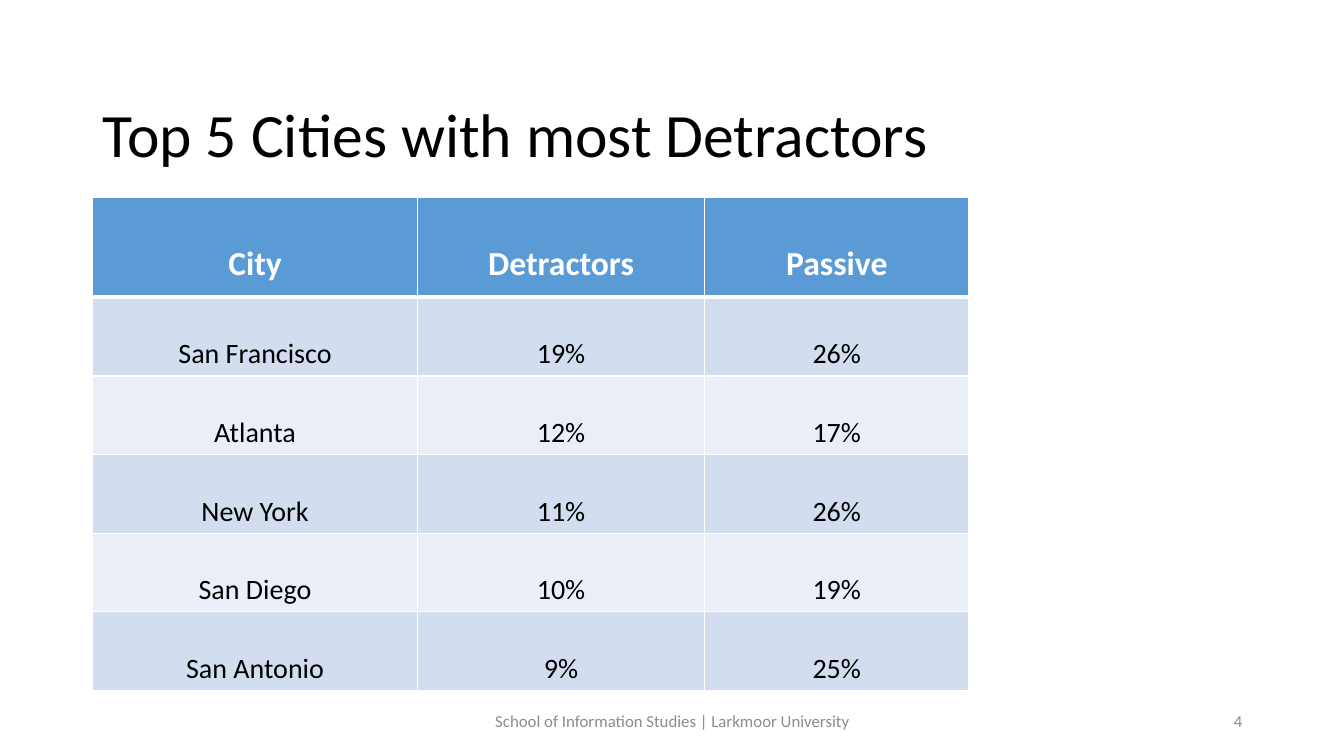
"""Build a slide with a table of the five cities that have the most detractors."""
import dataclasses
from typing import Any

import lxml.etree
import pptx
import pptx.dml.color
import pptx.enum.text
import pptx.oxml.ns
import pptx.util

Inches = pptx.util.Inches
RGBColor = pptx.dml.color.RGBColor
Align = pptx.enum.text.PP_ALIGN
Anchor = pptx.enum.text.MSO_ANCHOR

BLACK = RGBColor(0x00, 0x00, 0x00)
WHITE = RGBColor(0xFF, 0xFF, 0xFF)
GRAY = RGBColor(0x8C, 0x8C, 0x8C)
HEADER_BLUE = RGBColor(0x5B, 0x9B, 0xD5)
BAND_DARK = RGBColor(0xD2, 0xDE, 0xEF)
BAND_LIGHT = RGBColor(0xEA, 0xEF, 0xF7)

FONT = "Calibri"
COLUMN_WIDTHS = (3.22, 2.85, 2.62)
HEADER_HEIGHT = 0.99
BODY_HEIGHT = 0.78
THIN, THICK = 1, 3
CITY_ROWS = (
    ("City", "Detractors", "Passive"),
    ("San Francisco", "19%", "26%"),
    ("Atlanta", "12%", "17%"),
    ("New York", "11%", "26%"),
    ("San Diego", "10%", "19%"),
    ("San Antonio", "9%", "25%"),
)


@dataclasses.dataclass(frozen=True)
class TextStyle:
    size: int
    color: RGBColor
    align: Any = Align.LEFT
    spacing: float = 1.0
    bold: bool = False


@dataclasses.dataclass(frozen=True)
class Label:
    text: str
    left: float
    top: float
    width: float
    height: float
    style: TextStyle


HEADER_STYLE = TextStyle(24, WHITE, Align.CENTER, 2.0, True)
BODY_STYLE = TextStyle(20, BLACK, Align.CENTER, 2.0)
LABELS = (
    Label("School of Information Studies | Larkmoor University",
          4.42, 6.95, 4.5, 0.4, TextStyle(12, GRAY, Align.CENTER)),
    Label("4", 9.42, 6.95, 3, 0.4, TextStyle(12, GRAY, Align.RIGHT)),
    Label("Top 5 Cities with most Detractors",
          0.92, 0.64, 11.5, 1.45, TextStyle(44, BLACK, spacing=0.9)),
)


def apply(target: Any, formats: dict[str, Any]) -> None:
    for name, value in formats.items():
        setattr(target, name, value)


def write_text(frame: Any, text: str, style: TextStyle) -> None:
    para = frame.paragraphs[0]
    apply(para, {"alignment": style.align, "line_spacing": style.spacing})
    span = para.add_run()
    span.text = text
    apply(span.font, {"name": FONT, "size": pptx.util.Pt(style.size), "bold": style.bold})
    span.font.color.rgb = style.color


def add_label(page: Any, label: Label) -> None:
    box = page.shapes.add_textbox(Inches(label.left), Inches(label.top),
                                  Inches(label.width), Inches(label.height))
    apply(box.text_frame, {"word_wrap": True, "vertical_anchor": Anchor.MIDDLE})
    write_text(box.text_frame, label.text, label.style)


def add_borders(cell: Any, widths: dict[str, int]) -> None:
    properties = cell._tc.get_or_add_tcPr()
    qn = pptx.oxml.ns.qn
    for index, (side, points) in enumerate(widths.items()):
        line = lxml.etree.Element(qn(f"a:ln{side}"), w=str(int(pptx.util.Pt(points))))
        fill = lxml.etree.SubElement(line, qn("a:solidFill"))
        lxml.etree.SubElement(fill, qn("a:srgbClr"), val=str(WHITE))
        properties.insert(index, line)


def fill_cell(cell: Any, text: str, row: int) -> None:
    is_header = row == 0
    if not is_header:
        edge = Inches(0.01)
        apply(cell, {"vertical_anchor": Anchor.MIDDLE, "margin_left": edge,
                     "margin_right": edge, "margin_top": edge, "margin_bottom": 0})
    write_text(cell.text_frame, text, HEADER_STYLE if is_header else BODY_STYLE)
    band = BAND_DARK if row % 2 else BAND_LIGHT
    cell.fill.solid()
    cell.fill.fore_color.rgb = HEADER_BLUE if is_header else band
    add_borders(cell, {"L": THIN, "R": THIN, "T": THICK if row == 1 else THIN,
                       "B": THICK if is_header else THIN})


def add_city_table(page: Any) -> None:
    heights = [HEADER_HEIGHT] + [BODY_HEIGHT] * (len(CITY_ROWS) - 1)
    frame = page.shapes.add_table(len(CITY_ROWS), len(COLUMN_WIDTHS), Inches(0.92), Inches(1.96),
                                  Inches(sum(COLUMN_WIDTHS)), Inches(sum(heights)))
    table = frame.table
    for column, width in zip(table.columns, COLUMN_WIDTHS):
        column.width = Inches(width)
    for row, (height, texts) in enumerate(zip(heights, CITY_ROWS)):
        table.rows[row].height = Inches(height)
        for column, text in enumerate(texts):
            fill_cell(table.cell(row, column), text, row)


def main() -> None:
    deck = pptx.Presentation()
    apply(deck, {"slide_width": Inches(13.33), "slide_height": Inches(7.5)})
    page = deck.slides.add_slide(deck.slide_layouts[6])
    for label in LABELS:
        add_label(page, label)
    add_city_table(page)
    deck.save("out.pptx")


if __name__ == "__main__":
    main()
